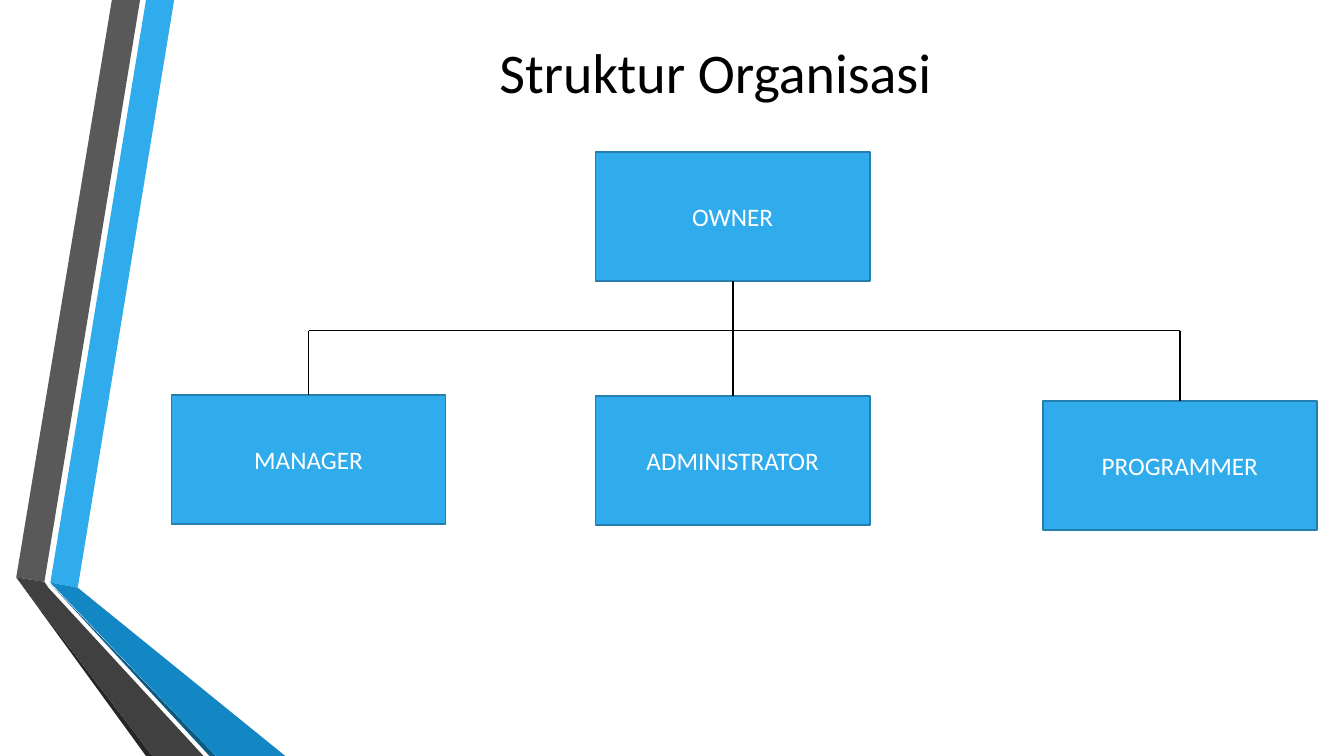
"""Build the organisation chart slide."""
from lxml.etree import SubElement
from pptx import Presentation
from pptx.dml.color import RGBColor
from pptx.enum.shapes import MSO_CONNECTOR, MSO_SHAPE
from pptx.enum.text import MSO_ANCHOR, PP_ALIGN
from pptx.oxml.ns import qn
from pptx.util import Cm, Pt

BLACK = RGBColor(0x00, 0x00, 0x00)
WHITE = RGBColor(0xFF, 0xFF, 0xFF)
BLUE = RGBColor(0x30, 0xAC, 0xEC)
EDGE = RGBColor(0x24, 0x7F, 0xAF)
GREY = RGBColor(0x59, 0x59, 0x59)
COAL = RGBColor(0x26, 0x26, 0x26)
NAVY = RGBColor(0x0C, 0x5A, 0x82)
OCEAN = RGBColor(0x12, 0x87, 0xC3)
SLATE = RGBColor(0x40, 0x40, 0x40)


def write(shape, text, size=18, color=WHITE):
    frame = shape.text_frame
    frame.word_wrap = True
    frame.vertical_anchor = MSO_ANCHOR.MIDDLE
    para = frame.paragraphs[0]
    para.alignment = PP_ALIGN.CENTER
    run = para.add_run()
    run.text = text
    run.font.name = "Calibri"
    run.font.size = Pt(size)
    run.font.color.rgb = color


deck = Presentation()
deck.slide_width, deck.slide_height = Cm(33.87), Cm(19.05)
slide = deck.slides.add_slide(deck.slide_layouts[6])
shapes = slide.shapes

BASE = 19.05
ribbons = [
    (BLUE, [(1.27, 14.68), (1.96, 14.81), (4.39, 0), (3.68, 0)]),
    (GREY, [(3.53, 0), (2.82, 0), (0.41, 14.55), (1.12, 14.66)]),
    (COAL, [(0.41, 14.55), (3.68, BASE), (3.84, BASE)]),
    (NAVY, [(1.27, 14.71), (5.28, BASE), (5.44, BASE)]),
    (OCEAN, [(1.27, 14.68), (5.44, BASE), (7.19, BASE), (1.96, 14.81)]),
    (SLATE, [(5.13, BASE), (1.22, 14.81), (1.12, 14.66), (0.41, 14.55),
             (3.84, BASE)]),
]
for color, points in ribbons:
    spots = [(Cm(x), Cm(y)) for x, y in points]
    pen = shapes.build_freeform(*spots[0])
    pen.add_line_segments(spots[1:], close=True)
    ribbon = pen.convert_to_shape()
    ribbon.shadow.inherit = False
    ribbon.fill.solid()
    ribbon.fill.fore_color.rgb = color
    ribbon.line.fill.background()

title = shapes.add_textbox(Cm(4.11), Cm(-0.64), Cm(27.84), Cm(4.88))
write(title, "Struktur Organisasi", size=40, color=BLACK)

WIDTH, HEIGHT = 6.91, 3.25
roles = [
    ("OWNER", 15.01, 3.84),
    ("MANAGER", 4.32, 9.95),
    ("ADMINISTRATOR", 15.01, 9.98),
    ("PROGRAMMER", 26.28, 10.1),
]
for role, left, top in roles:
    box = shapes.add_shape(MSO_SHAPE.RECTANGLE, Cm(left), Cm(top),
                           Cm(WIDTH), Cm(HEIGHT))
    box.shadow.inherit = False
    box.fill.solid()
    box.fill.fore_color.rgb = BLUE
    box.line.color.rgb = EDGE
    box.line.width = Pt(1.25)
    write(box, role)

BAR = 8.33
owner, left, mid, right = [(x + WIDTH / 2, y) for _, x, y in roles]
links = [
    (left[0], BAR, right[0], BAR),
    (owner[0], owner[1] + HEIGHT, *mid),
    (right[0], BAR, *right),
    (left[0], BAR, *left),
]
for ends in links:
    link = shapes.add_connector(MSO_CONNECTOR.STRAIGHT, *map(Cm, ends))
    link.line.color.rgb = BLACK
    link.line.width = Pt(1.25)
    SubElement(link._element.spPr, qn("a:effectLst"))

deck.save("out.pptx")
